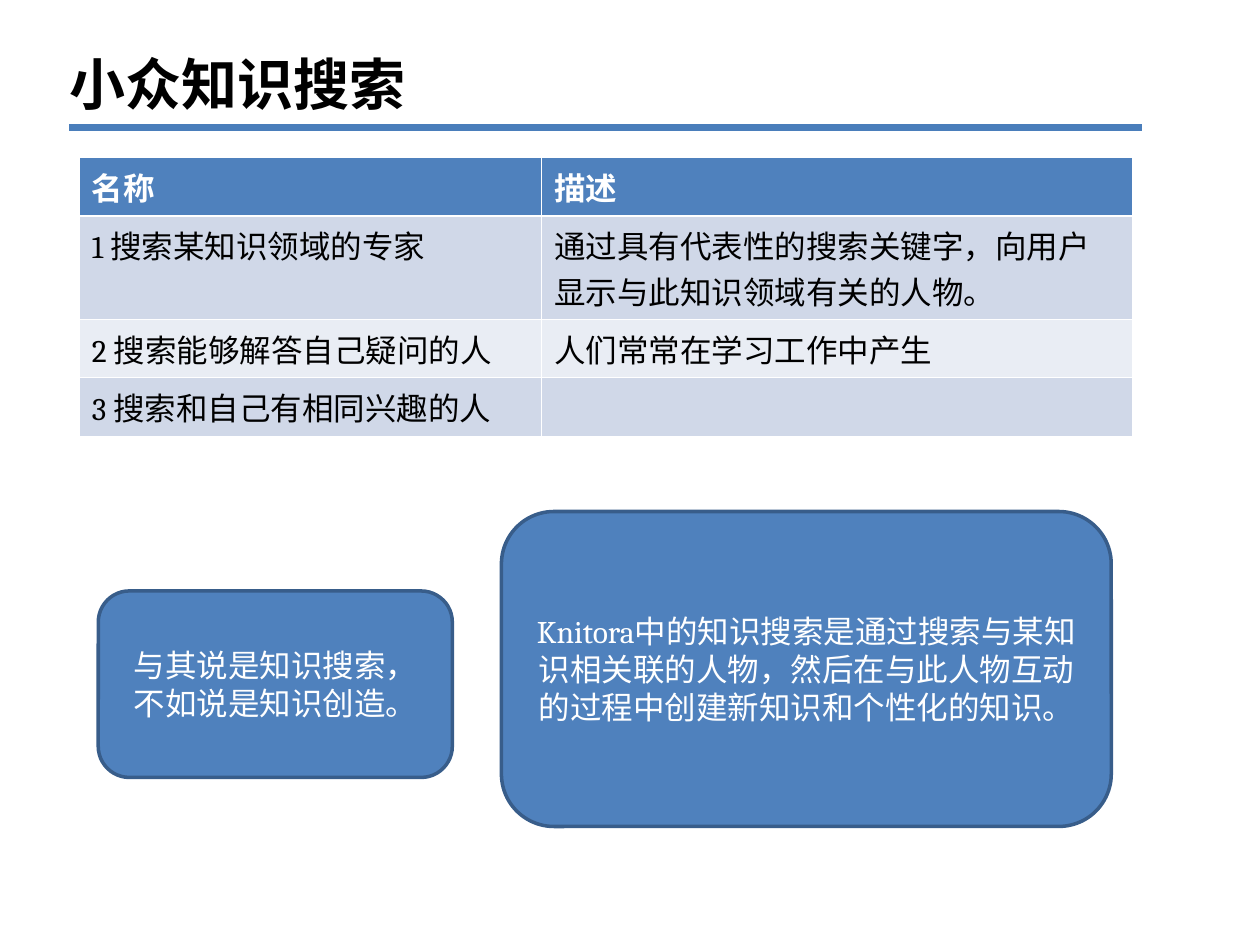
from pptx import Presentation
from pptx.dml.color import RGBColor
from pptx.enum.shapes import MSO_CONNECTOR, MSO_SHAPE
from pptx.enum.text import MSO_ANCHOR, PP_ALIGN
from pptx.oxml.ns import qn
from pptx.util import Inches, Pt
from lxml.etree import SubElement

THEME = {
    "blue": "4F81BD", "rule": "4A7EBB", "edge": "385D8A",
    "band": ["D0D8E8", "E9EDF4"], "white": "FFFFFF", "black": "000000",
    "title": {"name": "Calibri", "size": Pt(32), "bold": True},
    "body": {"name": "Cambria", "size": Pt(18), "bold": False},
    "head": {"name": "Cambria", "size": Pt(18), "bold": True},
}


def write(tf, text, style, color, align=PP_ALIGN.LEFT):
    p = tf.paragraphs[0]
    p.alignment = align
    r = p.add_run()
    r.text = text
    for key, value in THEME[style].items():
        setattr(r.font, key, value)
    r.font.color.rgb = RGBColor.from_string(THEME[color])
    return p


def add_border(cell, side, width):
    ln = SubElement(cell._tc.get_or_add_tcPr(), qn(f"a:{side}"), w=str(Pt(width)))
    fill = SubElement(ln, qn("a:solidFill"))
    SubElement(fill, qn("a:srgbClr"), val=THEME["white"])


prs = Presentation()
prs.slide_width, prs.slide_height = Inches(10), Inches(7.5)
s = prs.slides.add_slide(prs.slide_layouts[5])

# Title
title = s.shapes.title
title.left, title.top, title.width, title.height = map(Inches, (0.5, 0.3, 8.17, 0.72))
tf = title.text_frame
tf.vertical_anchor = MSO_ANCHOR.MIDDLE
for side in ("left", "top", "right", "bottom"):
    setattr(tf, f"margin_{side}", Inches(0.05))
write(tf, "小众知识搜索", "title", "black")

# Table of search kinds
ROWS = [
    ("名称", "描述"),
    ("1 搜索某知识领域的专家", "通过具有代表性的搜索关键字，向用户显示与此知识领域有关的人物。"),
    ("2 搜索能够解答自己疑问的人", "人们常常在学习工作中产生"),
    ("3 搜索和自己有相同兴趣的人", ""),
]
table = s.shapes.add_table(4, 2, *map(Inches, (0.63, 1.25, 8.36, 1.92))).table
for col, width in zip(table.columns, (3.67, 4.69)):
    col.width = Inches(width)
for row, height in zip(table.rows, (0.41, 0.7, 0.4, 0.4)):
    row.height = Inches(height)
for i, texts in enumerate(ROWS):
    for j, text in enumerate(texts):
        cell = table.cell(i, j)
        for side in ("lnL", "lnR", "lnT", "lnB"):
            thick = (i, side) in ((0, "lnB"), (1, "lnT"))
            add_border(cell, side, 1.47 if thick else 0.45)
        cell.fill.solid()
        color = THEME["band"][(i - 1) % 2] if i else THEME["blue"]
        cell.fill.fore_color.rgb = RGBColor.from_string(color)
        if text:
            write(cell.text_frame, text, "body" if i else "head", "black" if i else "white")
        else:
            cell.text_frame.paragraphs[0].font.size = THEME["body"]["size"]

# Rule under the title
rule = s.shapes.add_connector(MSO_CONNECTOR.STRAIGHT, *map(Inches, (0.55, 1.01, 9.06, 1.01)))
rule.line.color.rgb = RGBColor.from_string(THEME["rule"])
rule.line.width = Pt(4)
SubElement(rule._element.spPr, qn("a:effectLst"))

# Rounded callouts
CALLOUTS = [
    ((0.78, 4.69, 2.81, 1.48), "与其说是知识搜索，不如说是知识创造。"),
    ((3.98, 4.06, 4.84, 2.5),
     "Knitora中的知识搜索是通过搜索与某知识相关联的人物，然后在与此人物互动的过程中创建新知识和个性化的知识。"),
]
for box, text in CALLOUTS:
    sp = s.shapes.add_shape(MSO_SHAPE.ROUNDED_RECTANGLE, *map(Inches, box))
    sp.shadow.inherit = False
    sp.fill.solid()
    sp.fill.fore_color.rgb = RGBColor.from_string(THEME["blue"])
    sp.line.color.rgb = RGBColor.from_string(THEME["edge"])
    sp.line.width = Pt(2)
    tf = sp.text_frame
    tf.word_wrap = True
    tf.vertical_anchor = MSO_ANCHOR.MIDDLE
    p = write(tf, text, "body", "white", PP_ALIGN.CENTER)
    p.line_spacing = 1.0
    p._p.get_or_add_pPr().set("hangingPunct", "0")

prs.save("out.pptx")
